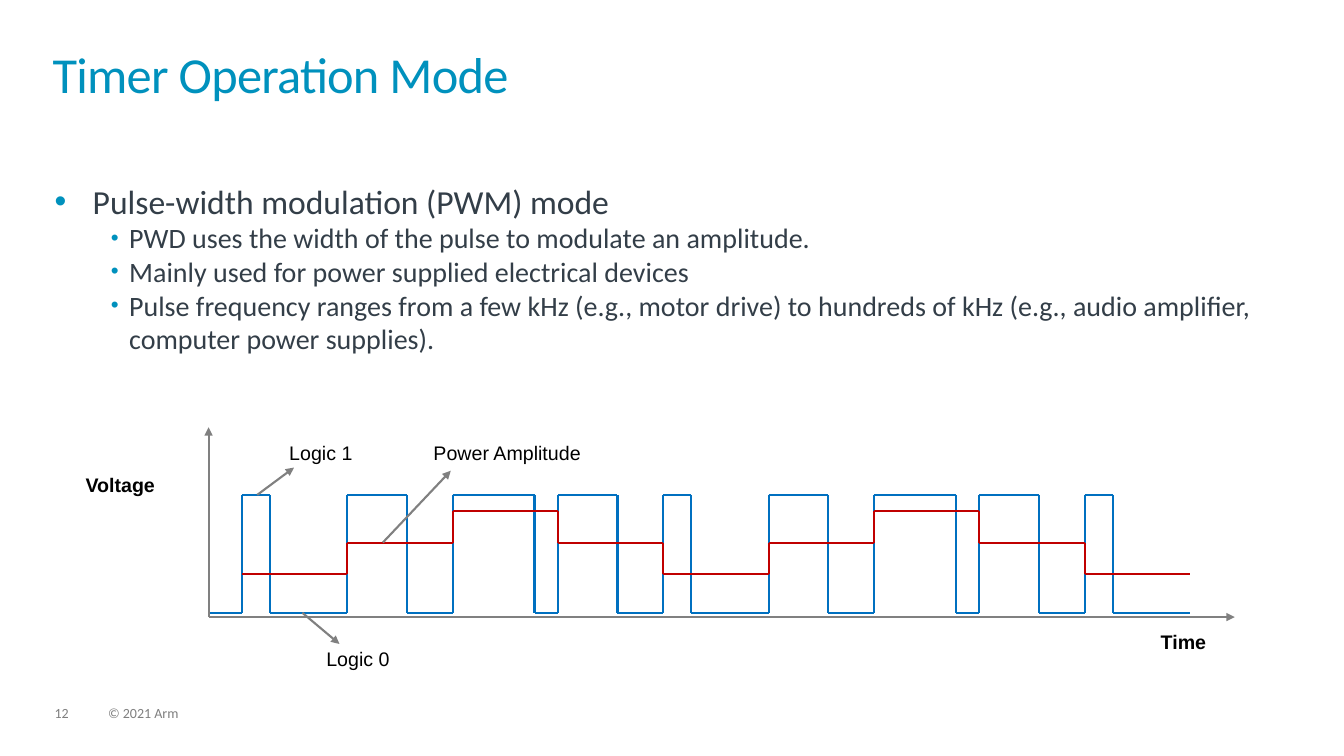
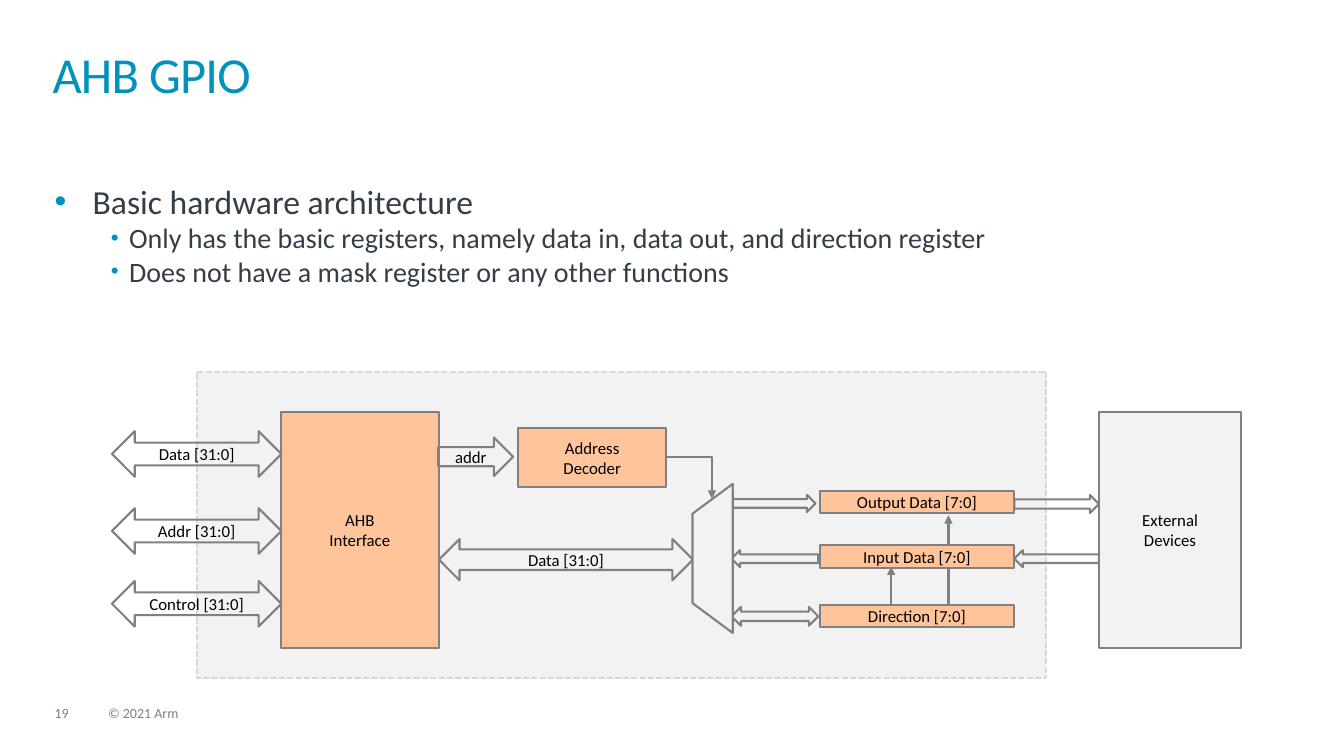
from lxml.etree import SubElement
from pptx import Presentation
from pptx.dml.color import RGBColor
from pptx.enum.dml import MSO_LINE
from pptx.enum.shapes import MSO_CONNECTOR, MSO_SHAPE
from pptx.enum.text import MSO_ANCHOR, MSO_AUTO_SIZE, PP_ALIGN
from pptx.oxml.ns import qn
from pptx.util import Pt

TEAL, SLATE, BLACK = "0091BD", "333E48", "000000"
GRAY, FOOTER_GRAY, PALE, DASH_GRAY = "808080", "7F7F7F", "F2F2F2", "D9D9D9"
BLUE, RED, ORANGE = "0070C0", "C00000", "FFC499"
COPYRIGHT = "© 2021 Arm"

TIMER = {
    "title": "Timer Operation Mode",
    "page": "12",
    "body_width": 869,
    "bullets": [
        (0, "Pulse-width modulation (PWM) mode"),
        (1, "PWD uses the width of the pulse to modulate an amplitude."),
        (1, "Mainly used for power supplied electrical devices"),
        (1, "Pulse frequency ranges from a few kHz (e.g., motor drive) to hundreds of kHz "
            "(e.g., audio amplifier, computer power supplies)."),
    ],
}
GPIO = {
    "title": "AHB GPIO",
    "page": "19",
    "body_width": 880.5,
    "bullets": [
        (0, "Basic hardware architecture"),
        (1, "Only has the basic registers, namely data in, data out, and direction register"),
        (1, "Does not have a mask register or any other functions"),
    ],
}

LEVEL_STYLES = [
    {"size": 24, "margin": 27.25, "hang": 27.25, "bullet_size": None},
    {"size": 20, "margin": 53.25, "hang": 13, "bullet_size": "80000"},
]

ORIGIN = (149, 440.75)
TIME_END, VOLTAGE_END = (882, 440.75), (149, 305.25)
LOGIC_0, LOGIC_1 = 437.75, 353.5
WAVE_START, PERIOD = 172.8, 75.25
PULSE_WIDTHS = {"low": 20, "mid": 42.5, "high": 58.5}
POWER_LEVELS = {"low": 410.25, "mid": 388, "high": 365}
CYCLES = ["low", "mid", "high", "mid", "low", "mid", "high", "mid", "low"]
WAVE_LABELS = [
    ("Voltage", 54, 334, 96, True),
    ("Time", 822, 446.5, 70, True),
    ("Logic 1", 199.5, 311.75, 96, False),
    ("Logic 0", 226, 458.75, 96, False),
    ("Power Amplitude", 302.5, 311.75, 170, False),
]
POINTERS = [
    ((183.75, 353.5), (210, 334)),
    ((216, 437.75), (242.5, 460)),
    ((273.5, 387.5), (322, 336.25)),
]

BOX = MSO_SHAPE.FLOWCHART_PROCESS
BOTH, RIGHT, LEFT = MSO_SHAPE.LEFT_RIGHT_ARROW, MSO_SHAPE.RIGHT_ARROW, MSO_SHAPE.LEFT_ARROW
PANEL = (140.5, 265.5, 607, 219)
REGISTER_ARROWS = [((677.5, 431.25), (677.5, 368)), ((636.5, 436.25), (636.5, 404.75))]
BUSES = [("Data [31:0]", 308), ("Addr [31:0]", 363), ("Control [31:0]", 415)]
REGISTERS = [("Output Data [7:0]", 350.5), ("Input Data [7:0]", 389.5), ("Direction [7:0]", 432)]
BLOCKS = [
    (BOX, "AHB\nInterface", (200.75, 294.5, 112.5, 168.5), ORANGE),
    *[(BOTH, name, (80, top, 121, 32.5), None) for name, top in BUSES],
    (RIGHT, "addr", (313, 312.5, 53.5, 27.5), None),
    (BOX, "Address\nDecoder", (370, 305.5, 106, 42.5), ORANGE),
    (BOTH, "Data [31:0]", (313.5, 385, 181.5, 29.5), None),
    (BOTH, "", (522.5, 433.5, 62, 13.5), None),
    *[(BOX, name, (585.5, top, 139, 16), ORANGE) for name, top in REGISTERS],
    (BOX, "External\nDevices", (785, 294.5, 101.5, 168.5), PALE),
    (RIGHT, "", (724.5, 353.5, 60.5, 13), None),
    (LEFT, "", (724.5, 393, 60.5, 12.25), None),
    (RIGHT, "", (522.5, 353.5, 60, 12.25), None),
    (LEFT, "", (522.5, 393, 62, 12.25), None),
]
MUX = (455.75, 384.5, 106.5, 28.75)
SELECT = ((476, 326.5), (508.5, 356.25))


def rgb(color):
    return RGBColor.from_string(color)


def set_font(paragraph, size, color, name="Calibri", bold=False):
    font = paragraph.font
    font.name, font.size, font.bold = name, Pt(size), bold
    font.color.rgb = rgb(color)


def clear_insets(frame):
    frame.margin_left = frame.margin_right = frame.margin_top = frame.margin_bottom = 0


def add_text(slide, text, left, top, width, height, inset=True):
    frame = slide.shapes.add_textbox(Pt(left), Pt(top), Pt(width), Pt(height)).text_frame
    frame.word_wrap = True
    if not inset:
        clear_insets(frame)
    frame.text = text
    return frame


def add_bullet(paragraph, level):
    style = LEVEL_STYLES[level]
    paragraph.level = level
    properties = paragraph._p.get_or_add_pPr()
    properties.set("marL", str(Pt(style["margin"])))
    properties.set("indent", str(-Pt(style["hang"])))
    SubElement(SubElement(properties, qn("a:buClr")), qn("a:srgbClr"), val=TEAL)
    if style["bullet_size"]:
        SubElement(properties, qn("a:buSzPct"), val=style["bullet_size"])
    SubElement(properties, qn("a:buFont"), typeface="Arial")
    SubElement(properties, qn("a:buChar"), char="•")
    set_font(paragraph, style["size"], SLATE)


def add_line(slide, start, end, color=GRAY, arrow=False, kind=MSO_CONNECTOR.STRAIGHT):
    line = slide.shapes.add_connector(kind, *[Pt(value) for value in (*start, *end)])
    line.line.color.rgb = rgb(color)
    line.line.width = Pt(1.5)
    properties = line._element.spPr
    if arrow:
        SubElement(properties.find(qn("a:ln")), qn("a:tailEnd"), type="triangle")
    SubElement(properties, qn("a:effectLst"))
    return line


def add_path(slide, points, color):
    for start, end in zip(points, points[1:]):
        add_line(slide, start, end, color)


def add_block(slide, kind, text, place, fill, outline=GRAY):
    block = slide.shapes.add_shape(kind, *[Pt(value) for value in place])
    block.shadow.inherit = False
    if fill:
        block.fill.solid()
        block.fill.fore_color.rgb = rgb(fill)
    else:
        block.fill.background()
    block.line.color.rgb = rgb(outline)
    block.line.width = Pt(1.5)
    if text:
        frame = block.text_frame
        frame.word_wrap = False
        frame.vertical_anchor = MSO_ANCHOR.MIDDLE
        clear_insets(frame)
        frame.text = text
        for paragraph in frame.paragraphs:
            paragraph.alignment = PP_ALIGN.CENTER
            set_font(paragraph, 12, BLACK)
    return block


def start_slide(deck, content):
    slide = deck.slides.add_slide(deck.slide_layouts[5])
    title = slide.shapes.title
    title.left, title.top, title.width, title.height = Pt(37.5), Pt(37.5), Pt(884), Pt(52)
    frame = title.text_frame
    frame.text = content["title"]
    frame.auto_size = MSO_AUTO_SIZE.NONE
    frame.vertical_anchor = MSO_ANCHOR.TOP
    clear_insets(frame)
    heading = frame.paragraphs[0]
    heading.alignment = PP_ALIGN.LEFT
    heading.line_spacing = 0.85
    set_font(heading, 36, TEAL)
    heading._p.pPr.find(qn("a:defRPr")).set("spc", "-50")

    for text, left, width in ((content["page"], 39, 24.5), (COPYRIGHT, 77.25, 365)):
        footer = add_text(slide, text, left, 504.75, width, 11, inset=False).paragraphs[0]
        footer.line_spacing = 0.9
        set_font(footer, 10, FOOTER_GRAY)

    bullets = content["bullets"]
    body = add_text(slide, "\n".join(text for _, text in bullets),
                    39, 129, content["body_width"], 322, inset=False)
    for paragraph, (level, _) in zip(body.paragraphs, bullets):
        add_bullet(paragraph, level)
    return slide


def build_timer(deck):
    slide = start_slide(deck, TIMER)
    add_line(slide, ORIGIN, TIME_END, arrow=True)
    pulses, power = [(ORIGIN[0], LOGIC_0)], []
    for index, cycle in enumerate(CYCLES):
        rise = WAVE_START + index * PERIOD
        fall = rise + PULSE_WIDTHS[cycle]
        pulses += [(rise, LOGIC_0), (rise, LOGIC_1), (fall, LOGIC_1), (fall, LOGIC_0)]
        power += [(rise, POWER_LEVELS[cycle]), (rise + PERIOD, POWER_LEVELS[cycle])]
    pulses.append((WAVE_START + len(CYCLES) * PERIOD, LOGIC_0))
    add_path(slide, pulses, BLUE)
    add_path(slide, power, RED)
    add_line(slide, ORIGIN, VOLTAGE_END, arrow=True)
    for start, end in POINTERS:
        add_line(slide, start, end, arrow=True)
    for text, left, top, width, bold in WAVE_LABELS:
        label = add_text(slide, text, left, top, width, 24.5)
        set_font(label.paragraphs[0], 14, BLACK, "Arial", bold)


def build_gpio(deck):
    slide = start_slide(deck, GPIO)
    panel = add_block(slide, MSO_SHAPE.RECTANGLE, "", PANEL, PALE, DASH_GRAY)
    panel.line.dash_style = MSO_LINE.SQUARE_DOT
    for start, end in REGISTER_ARROWS:
        add_line(slide, start, end, arrow=True)
    for kind, text, place, fill in BLOCKS:
        add_block(slide, kind, text, place, fill)
    mux = add_block(slide, MSO_SHAPE.FLOWCHART_MANUAL_OPERATION, "", MUX, PALE)
    mux.rotation = 90
    select = add_line(slide, *SELECT, arrow=True, kind=MSO_CONNECTOR.ELBOW)
    select._element.spPr.find(qn("a:prstGeom")).set("prst", "bentConnector2")


def main():
    deck = Presentation()
    deck.slide_width, deck.slide_height = Pt(960), Pt(540)
    build_timer(deck)
    build_gpio(deck)
    deck.save("out.pptx")


if __name__ == "__main__":
    main()
